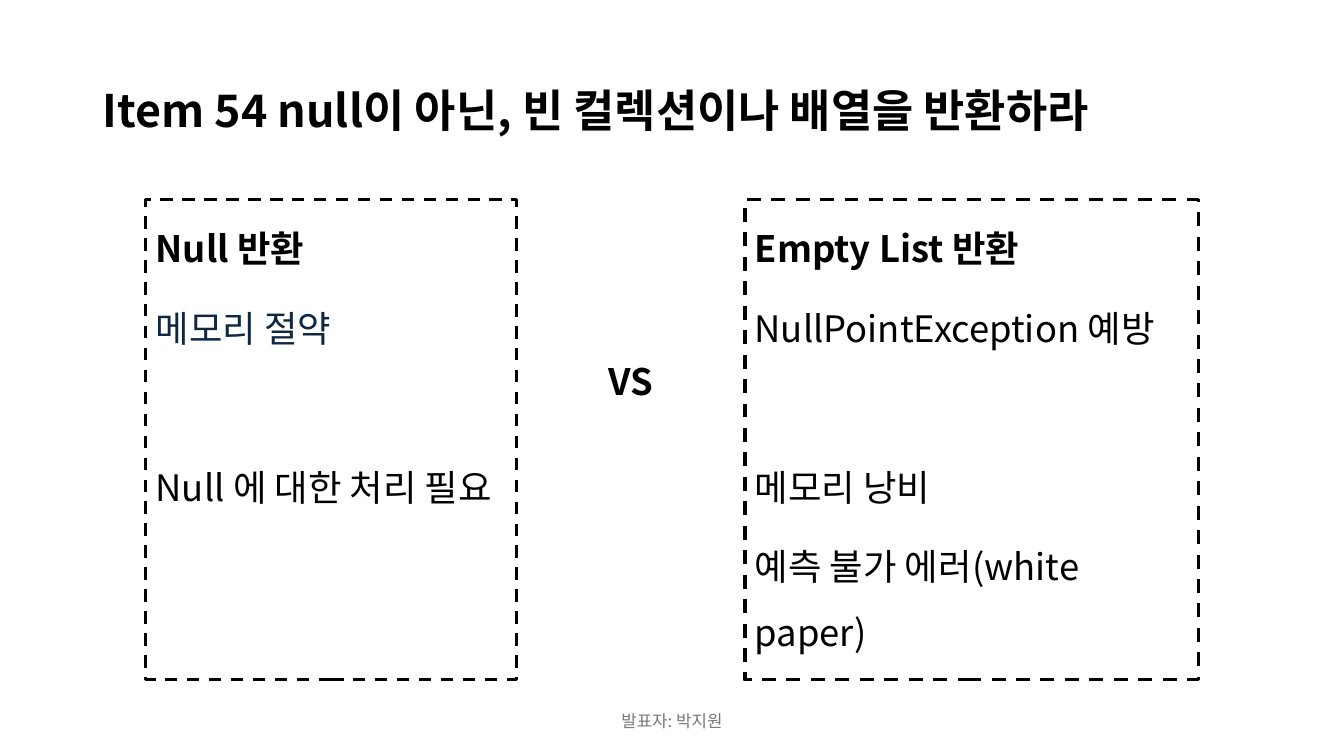
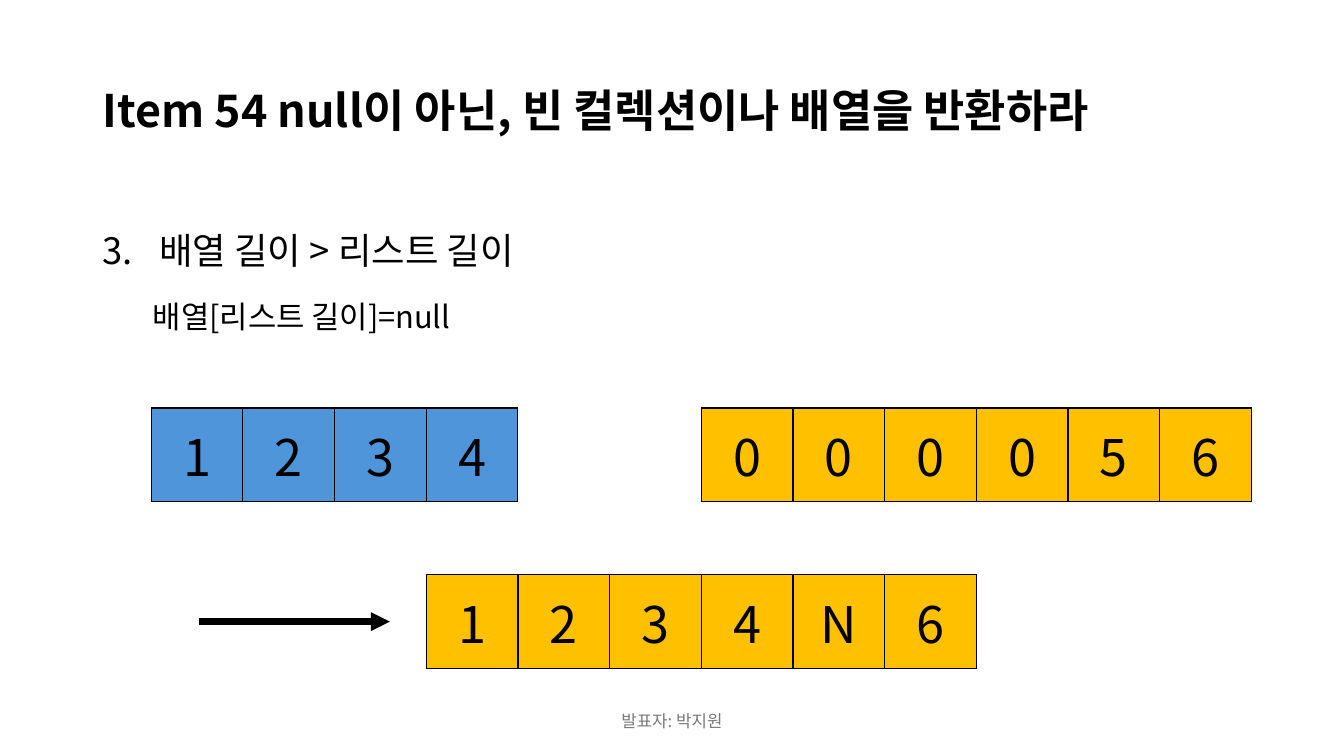
from pptx import Presentation
from pptx.dml.color import RGBColor
from pptx.enum import dml, shapes, text
from pptx.oxml.ns import qn
from pptx import util as u
from lxml import etree

FONT = "Noto Sans CJK KR"
BLACK, NAVY, GRAY, BLUE, GOLD = "000000", "0E2841", "797979", "4E95D9", "FFC000"
TITLE = "Item 54 null이 아닌, 빈 컬렉션이나 배열을 반환하라"
FOOTER = "발표자: 박지원"
LEFT, CENTER = text.PP_ALIGN.LEFT, text.PP_ALIGN.CENTER
TOP, MIDDLE = text.MSO_ANCHOR.TOP, text.MSO_ANCHOR.MIDDLE
CELL_W, CELL_H = 65.5, 67


def paint(fmt, color):
    fmt.solid()
    fmt.fore_color.rgb = RGBColor.from_string(color)


def child(parent, tag, **attrs):
    return etree.SubElement(parent, qn(tag), attrs)


def write(tf, s, size=26, color=BLACK, bold=False, align=LEFT, spacing=1.5,
          before=10, level=0, margin=0, indent=0, start=None):
    p = tf.paragraphs[0]
    if p.runs:
        p = tf.add_paragraph()
    p.alignment, p.line_spacing, p.level = align, spacing, level
    p.space_before = u.Pt(before)
    pPr = p._p.get_or_add_pPr()
    pPr.set("marL", str(u.Pt(margin)))
    pPr.set("indent", str(u.Pt(indent)))
    if start:
        child(pPr, "a:buFont", typeface="+mj-lt")
        child(pPr, "a:buAutoNum", type="arabicPeriod", startAt=str(start))
    else:
        child(pPr, "a:buNone")
    r = p.add_run()
    r.text = s
    r.font.size, r.font.bold, r.font.name = u.Pt(size), bold, FONT
    paint(r.font.fill, color)
    child(r._r.get_or_add_rPr(), "a:ea", typeface=FONT)


class Deck:
    """Holds the shared style and the slide being built."""

    def __init__(self):
        self.prs = Presentation()
        self.prs.slide_width, self.prs.slide_height = u.Pt(960), u.Pt(540)
        self.s = None

    def slide(self):
        self.s = self.prs.slides.add_slide(self.prs.slide_layouts[1])
        tf = self.frame(self.s.shapes.title, 66, 29, 828, 104, MIDDLE)
        write(tf, TITLE, size=32, bold=True, spacing=0.9, before=0)
        tf = self.textbox(318, 500, 324, 29, MIDDLE)
        write(tf, FOOTER, size=12, color=GRAY, align=CENTER, spacing=1, before=0)

    def frame(self, sp, x, y, w, h, anchor=TOP):
        sp.left, sp.top, sp.width, sp.height = map(u.Pt, (x, y, w, h))
        tf = sp.text_frame
        tf.word_wrap, tf.auto_size = True, text.MSO_AUTO_SIZE.NONE
        tf.vertical_anchor = anchor
        return tf

    def textbox(self, x, y, w, h, anchor=TOP):
        sp = self.s.shapes.add_textbox(0, 0, 0, 0)
        return self.frame(sp, x, y, w, h, anchor)

    def body(self, x, y, w, h):
        sp = self.s.placeholders[1]
        return sp, self.frame(sp, x, y, w, h)

    def rect(self, x, y, w, h):
        sp = self.s.shapes.add_shape(shapes.MSO_SHAPE.RECTANGLE, 0, 0, 0, 0)
        sp.shadow.inherit = False
        sp.fill.background()
        return sp, self.frame(sp, x, y, w, h)

    def dash(self, sp, width):
        paint(sp.line.fill, BLACK)
        sp.line.width = u.Pt(width)
        sp.line.dash_style = dml.MSO_LINE.DASH

    def array(self, x, y, values, color):
        n = len(values)
        size = map(u.Pt, (x, y, n * CELL_W, CELL_H))
        table = self.s.shapes.add_table(1, n, *size).table
        table.first_row = table.horz_banding = False
        for i, value in enumerate(values):
            table.columns[i].width = u.Pt(CELL_W)
            cell = table.cell(0, i)
            cell.vertical_anchor = MIDDLE
            tcPr = cell._tc.get_or_add_tcPr()
            for side in "LRTB":
                ln = child(tcPr, f"a:ln{side}", w=str(u.Pt(1)))
                child(child(ln, "a:solidFill"), "a:srgbClr", val=BLACK)
            paint(cell.fill, color)
            write(cell.text_frame, value, size=36, align=CENTER, spacing=1, before=0)

    def arrow(self, x1, x2, y):
        ends = map(u.Pt, (x1, y, x2, y))
        sp = self.s.shapes.add_connector(shapes.MSO_CONNECTOR.STRAIGHT, *ends)
        paint(sp.line.fill, BLACK)
        sp.line.width = u.Pt(4.5)
        child(sp.line._get_or_add_ln(), "a:tailEnd", type="triangle")
        child(sp._element.spPr, "a:effectLst")


def compare(d):
    d.slide()
    gap = 67
    sp, tf = d.body(104, 142.5, 265, 343)
    d.dash(sp, 2.25)
    write(tf, "Null 반환", bold=True)
    write(tf, "메모리 절약", color=NAVY)
    write(tf, "Null 에 대한 처리 필요", before=gap)
    sp, tf = d.rect(532, 142.5, 324, 343)
    d.dash(sp, 2.5)
    write(tf, "Empty List 반환", bold=True)
    write(tf, "NullPointException 예방")
    write(tf, "메모리 낭비", before=gap)
    write(tf, "예측 불가 에러(white paper)")
    tf = d.textbox(318, 142.5, 265, 343)
    tf.margin_top = u.Pt(114)
    write(tf, "VS", bold=True, align=CENTER, spacing=1, before=0)


def arrays(d):
    d.slide()
    tf = d.body(66, 144, 828, 343)[1]
    write(tf, "배열 길이 > 리스트 길이", margin=40.5, indent=-40.5, start=3)
    write(tf, "배열[리스트 길이]=null", size=22, before=5, level=1, margin=36)
    d.array(108, 291.5, "1234", BLUE)
    d.array(501, 291.5, "000056", GOLD)
    d.array(304.5, 410.5, "1234N6", GOLD)
    d.arrow(142.5, 278.5, 444)


def main():
    d = Deck()
    compare(d)
    arrays(d)
    d.prs.save("out.pptx")


if __name__ == "__main__":
    main()
